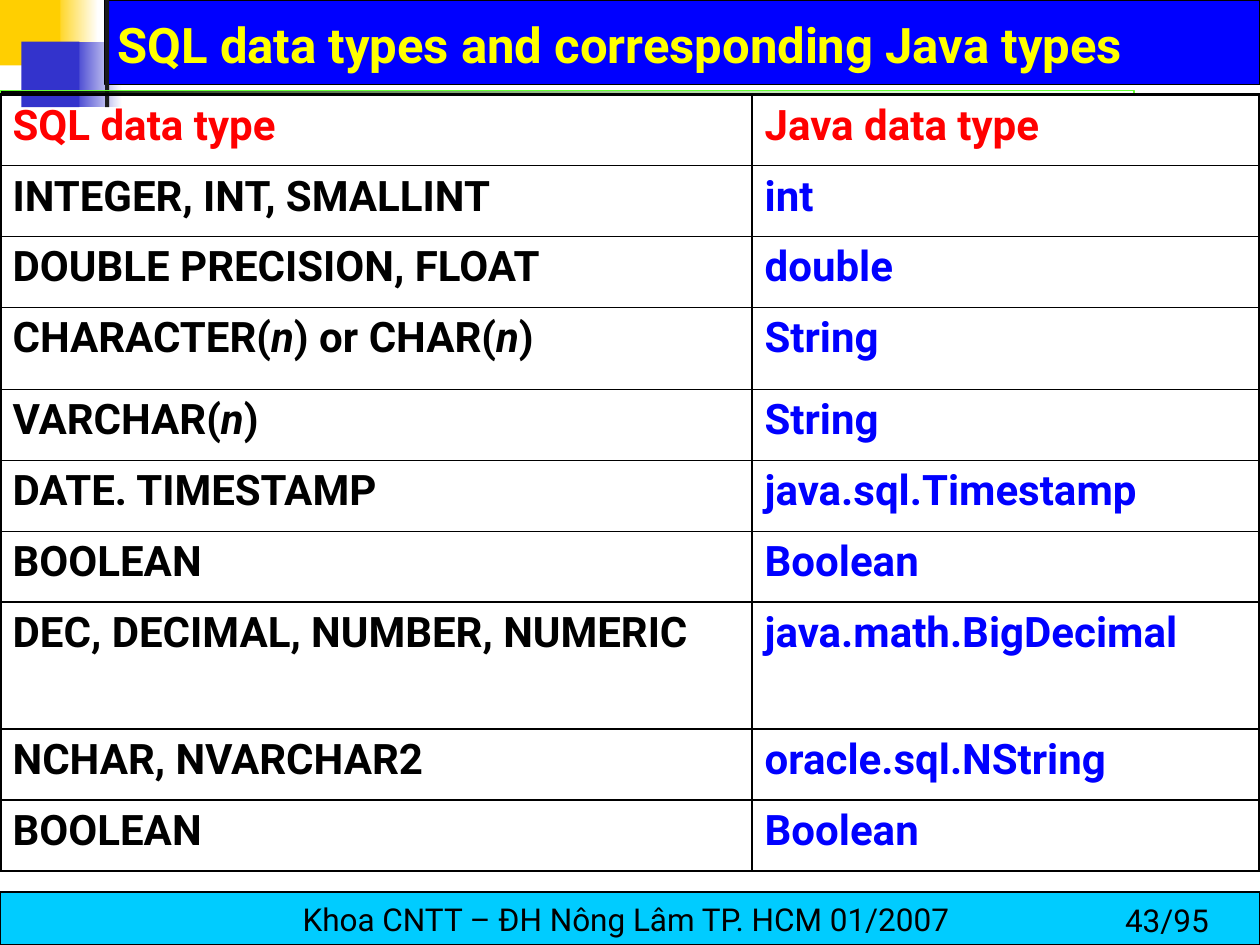
import pptx
import pptx.dml.color
import pptx.enum.shapes
import pptx.enum.text
import pptx.oxml.xmlchemy
import pptx.util

Cm = pptx.util.Cm
Pt = pptx.util.Pt
RGBColor = pptx.dml.color.RGBColor
PP_ALIGN = pptx.enum.text.PP_ALIGN
MSO_ANCHOR = pptx.enum.text.MSO_ANCHOR
OxmlElement = pptx.oxml.xmlchemy.OxmlElement

BLACK = RGBColor(0x00, 0x00, 0x00)
WHITE = RGBColor(0xFF, 0xFF, 0xFF)
CHARCOAL = RGBColor(0x1C, 0x1C, 0x1C)
GOLD = RGBColor(0xFF, 0xCF, 0x01)
INDIGO = RGBColor(0x33, 0x33, 0xCC)
BLUE = RGBColor(0x00, 0x00, 0xFF)
GREEN = RGBColor(0x66, 0xFF, 0x33)
CYAN = RGBColor(0x00, 0xCC, 0xFF)
YELLOW = RGBColor(0xFF, 0xFF, 0x00)
RED = RGBColor(0xFF, 0x00, 0x00)

TYPE_ROWS = [
    ("SQL data type", "Java data type"),
    ("INTEGER, INT, SMALLINT", "int"),
    ("DOUBLE PRECISION, FLOAT", "double"),
    ("CHARACTER(*n*) or CHAR(*n*)", "String"),
    ("VARCHAR(*n*)", "String"),
    ("DATE. TIMESTAMP", "java.sql.Timestamp"),
    ("BOOLEAN", "Boolean"),
    ("DEC, DECIMAL, NUMBER, NUMERIC", "java.math.BigDecimal"),
    ("NCHAR, NVARCHAR2", "oracle.sql.NString"),
    ("BOOLEAN", "Boolean"),
]
ROW_HEIGHT = 1.43
TALL_ROWS = {3: 1.65, 7: 2.56}
COL_WIDTHS = (15.16, 10.24)


def write(tf, text, font="Roboto", size=18, color=BLACK, bold=False,
          align=PP_ALIGN.LEFT, spacing=None):
    p = tf.paragraphs[0]
    p.alignment = align
    p.line_spacing = spacing
    for i, part in enumerate(text.split("*")):
        r = p.add_run()
        r.text = part
        r.font.name = font
        r.font.size = Pt(size)
        r.font.bold = bold
        r.font.italic = i % 2 == 1
        r.font.color.rgb = color


class Deck:
    font = "Roboto"

    def __init__(self, prs):
        self.s = prs.slides.add_slide(prs.slide_layouts[6])

    def box(self, x, y, w, h, color, fade_to=None, line=None, line_width=0.75):
        sp = self.s.shapes.add_shape(pptx.enum.shapes.MSO_SHAPE.RECTANGLE,
                                     Cm(x), Cm(y), Cm(w), Cm(h))
        sp.shadow.inherit = False
        if fade_to is None:
            sp.fill.solid()
            sp.fill.fore_color.rgb = color
        else:
            sp.fill.gradient()
            sp.fill.gradient_angle = 0
            for stop, rgb in zip(sp.fill.gradient_stops, (color, fade_to)):
                stop.color.rgb = rgb
        if line is None:
            sp.line.fill.background()
        else:
            sp.line.color.rgb = line
            sp.line.width = Pt(line_width)
        return sp

    def clear_end(self, sp):
        alpha = OxmlElement("a:alpha")
        alpha.set("val", "0")
        sp.element.spPr.xpath("./a:gradFill/a:gsLst/a:gs/a:srgbClr")[-1].append(alpha)

    def label(self, x, y, w, h, text, anchor=MSO_ANCHOR.TOP, **fmt):
        tf = self.s.shapes.add_textbox(Cm(x), Cm(y), Cm(w), Cm(h)).text_frame
        tf.word_wrap = True
        tf.vertical_anchor = anchor
        write(tf, text, font=self.font, **fmt)

    def border(self, cell, side, width):
        ln = OxmlElement("a:ln" + side)
        ln.set("w", str(Pt(width)))
        fill = OxmlElement("a:solidFill")
        clr = OxmlElement("a:srgbClr")
        clr.set("val", str(BLACK))
        fill.append(clr)
        ln.append(fill)
        cell._tc.get_or_add_tcPr().append(ln)

    def table(self, x, y, rows, widths, heights):
        table = self.s.shapes.add_table(len(rows), len(widths), Cm(x), Cm(y),
                                        Cm(sum(widths)), Cm(sum(heights))).table
        table.first_row = table.horz_banding = False
        for col, width in zip(table.columns, widths):
            col.width = Cm(width)
        for row, height in zip(table.rows, heights):
            row.height = Cm(height)
        for i, texts in enumerate(rows):
            for j, text in enumerate(texts):
                cell = table.cell(i, j)
                outer = {"L": j == 0, "R": j == len(widths) - 1, "T": i == 0, "B": False}
                for side, thick in outer.items():
                    self.border(cell, side, 2.25 if thick else 1)
                cell.fill.background()
                color = RED if i == 0 else (BLACK, BLUE)[j]
                write(cell.text_frame, text, font=self.font, size=24,
                      color=color, bold=True)


def main():
    prs = pptx.Presentation()
    prs.slide_width, prs.slide_height = Cm(25.4), Cm(19.05)
    deck = Deck(prs)

    deck.box(1.07, 0, 0.91, 1.32, GOLD, fade_to=WHITE)
    deck.box(1.45, 0.84, 1.02, 1.32, INDIGO, fade_to=WHITE)
    deck.box(2.12, 0, 23.28, 1.7, BLUE, line=BLACK)
    deck.box(0, 0, 1.22, 1.32, GOLD)
    deck.box(0.43, 0.84, 1.17, 1.32, INDIGO)
    deck.box(2.12, 0, 0.08, 2.16, CHARCOAL)
    rule = deck.box(0, 1.83, 22.86, 0.08, BLACK, fade_to=GREEN, line=GREEN, line_width=0)
    deck.clear_end(rule)

    footer = deck.box(0, 17.98, 25.4, 1.07, CYAN, line=BLACK)
    footer.text_frame.word_wrap = False
    footer.text_frame.vertical_anchor = MSO_ANCHOR.MIDDLE
    write(footer.text_frame, "Khoa CNTT – ĐH Nông Lâm TP. HCM 01/2007 ",
          align=PP_ALIGN.CENTER)
    deck.label(22.43, 18.03, 2.97, 1.02, "43/95")
    deck.label(2.12, 0.13, 23.28, 1.47, "SQL data types and corresponding Java types",
               anchor=MSO_ANCHOR.BOTTOM, size=28, color=YELLOW, bold=True, spacing=0.8)

    heights = [TALL_ROWS.get(i, ROW_HEIGHT) for i in range(len(TYPE_ROWS))]
    deck.table(0, 1.91, TYPE_ROWS, COL_WIDTHS, heights)
    prs.save("out.pptx")


if __name__ == "__main__":
    main()
